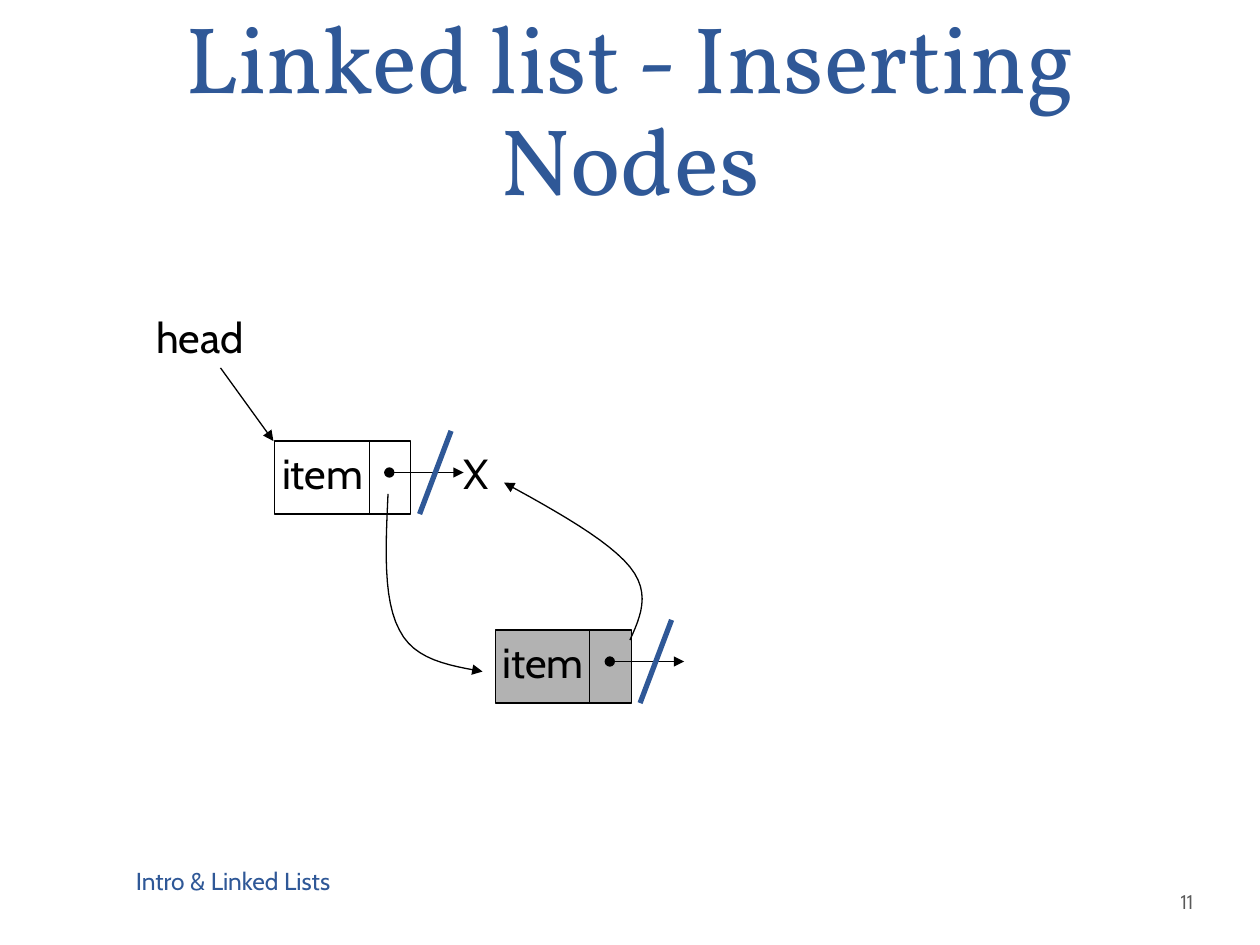
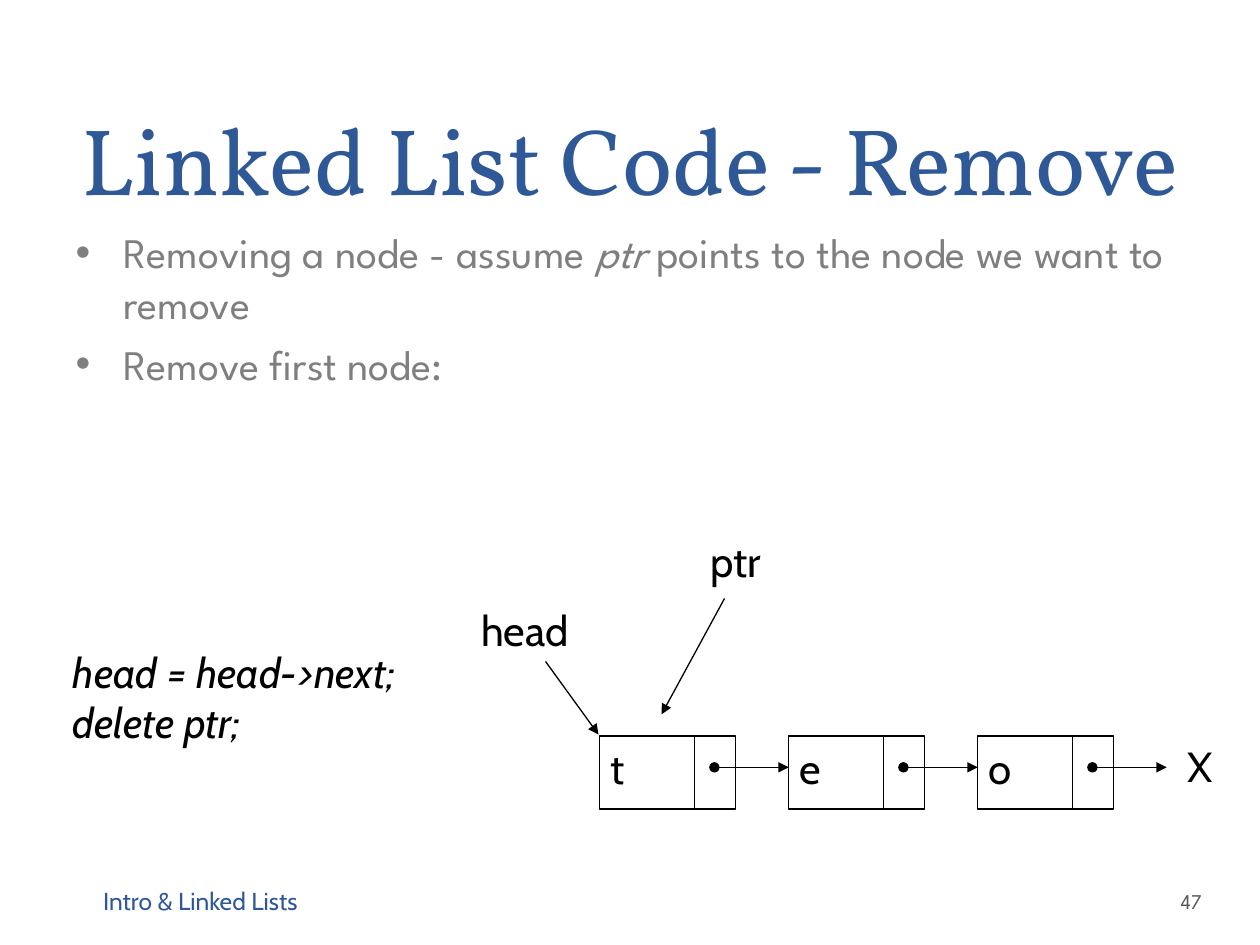
from lxml import etree
from pptx import Presentation
from pptx.dml.color import RGBColor
from pptx.enum import shapes, text
from pptx.oxml import ns
from pptx.util import Inches, Pt

BLUE = RGBColor(0x2F, 0x58, 0x97)
BLACK = RGBColor(0, 0, 0)
BODY_GRAY = RGBColor(0x7F, 0x7F, 0x7F)
NUMBER_GRAY = RGBColor(0x59, 0x59, 0x59)
NEW_NODE_GRAY = RGBColor(0xB2, 0xB2, 0xB2)

TITLE = {"name": "Vollkorn", "size": Pt(54), "color": BLUE}
BODY = {"name": "League Spartan", "size": Pt(24), "color": BODY_GRAY}
FOOTER = {"name": "Cabin", "size": Pt(14), "color": BLUE}
NUMBER = {"name": "League Spartan", "size": Pt(12), "color": NUMBER_GRAY}
LABEL = {"name": "Cabin", "size": Pt(24), "color": BLACK}
CODE = {**LABEL, "italic": True}

NODE_WIDTH, NODE_HEIGHT, NODE_PITCH = 1.08, 0.58, 1.5
CURVE_STEPS = 12


def apply_font(font, style):
    for key, value in style.items():
        if key == "color":
            font.color.rgb = value
        else:
            setattr(font, key, value)


def place(shape, box):
    for key, value in zip(("left", "top", "width", "height"), box):
        setattr(shape, key, Inches(value))


def add_label(slide, box, lines, style=LABEL, **frame_format):
    label = slide.shapes.add_textbox(*map(Inches, box))
    frame = label.text_frame
    for key, value in {"word_wrap": False, **frame_format}.items():
        setattr(frame, key, value)
    for index, line in enumerate(lines):
        paragraph = frame.add_paragraph() if index else frame.paragraphs[0]
        run = paragraph.add_run()
        run.text = line
        apply_font(run.font, style)


def style_line(shape, color=BLACK, width=0.75, **ends):
    shape.line.color.rgb = color
    shape.line.width = Pt(width)
    outline = shape.line._get_or_add_ln()
    for tag in ("headEnd", "tailEnd"):
        if tag in ends:
            etree.SubElement(outline, ns.qn(f"a:{tag}"), type=ends[tag])


def add_line(slide, start, end, **line_format):
    line = slide.shapes.add_connector(
        shapes.MSO_CONNECTOR.STRAIGHT, *map(Inches, (*start, *end)))
    style_line(line, **line_format)
    etree.SubElement(line._element.spPr, ns.qn("a:effectLst"))


def bezier(points, t):
    while len(points) > 1:
        points = [tuple(a + (b - a) * t for a, b in zip(p, q))
                  for p, q in zip(points, points[1:])]
    return points[0]


def add_curved_arrow(slide, points):
    outline = [bezier(points[first:first + 4], step / CURVE_STEPS)
               for first in range(0, len(points) - 1, 3)
               for step in range(1, CURVE_STEPS + 1)]
    builder = slide.shapes.build_freeform(*map(Inches, points[0]))
    builder.add_line_segments(
        [(Inches(x), Inches(y)) for x, y in outline], close=False)
    arrow = builder.convert_to_shape()
    arrow.fill.background()
    arrow.shadow.inherit = False
    style_line(arrow, tailEnd="triangle")


def add_node(slide, x, y, item, text_box, fill=None):
    cell = slide.shapes.add_shape(
        shapes.MSO_SHAPE.RECTANGLE,
        *map(Inches, (x, y, NODE_WIDTH, NODE_HEIGHT)))
    cell.shadow.inherit = False
    if fill is None:
        cell.fill.background()
    else:
        cell.fill.solid()
        cell.fill.fore_color.rgb = fill
    style_line(cell)
    inset, width = text_box
    add_label(slide, (x + inset, y, width, 0.5), [item])
    add_line(slide, (x + 0.75, y), (x + 0.75, y + NODE_HEIGHT))
    add_line(slide, (x + 0.91, y + 0.25), (x + NODE_PITCH, y + 0.25),
             headEnd="oval", tailEnd="triangle")


def add_link_cut(slide, x, y):
    add_line(slide, (x + 1.4, y - 0.08), (x + 1.15, y + 0.58),
             color=BLUE, width=3)


def add_head_pointer(slide, x, y):
    add_label(slide, (x, y, 0.98, 0.5), ["head"])
    add_line(slide, (x + 0.61, y + 0.5), (x + 1.03, y + 1.08),
             tailEnd="triangle")


def add_list_end(slide, x, y):
    add_label(slide, (x, y, 0.39, 0.5), ["X"])


def add_frame(prs, layout, title, number, footer_box):
    slide = prs.slides.add_slide(prs.slide_layouts[layout])
    heading = slide.shapes.title
    place(heading, (0.5, 0, 9, 1.75))
    frame = heading.text_frame
    frame.text = title
    frame.auto_size = text.MSO_AUTO_SIZE.NONE
    frame.vertical_anchor = text.MSO_ANCHOR.BOTTOM
    paragraph = frame.paragraphs[0]
    paragraph.alignment = text.PP_ALIGN.CENTER
    paragraph.line_spacing = Pt(58)
    apply_font(paragraph.runs[0].font, TITLE)
    middle = {"word_wrap": True, "vertical_anchor": text.MSO_ANCHOR.MIDDLE}
    add_label(slide, footer_box, ["Intro & Linked Lists"], FOOTER, **middle)
    add_label(slide, (9.34, 6.95, 0.61, 0.4), [number], NUMBER, **middle,
              margin_left=Inches(0.03), margin_right=Inches(0.05))
    return slide


def fill_body(body, box, bullets):
    place(body, box)
    frame = body.text_frame
    frame.auto_size = text.MSO_AUTO_SIZE.NONE
    for index, parts in enumerate(bullets):
        paragraph = frame.add_paragraph() if index else frame.paragraphs[0]
        paragraph.space_before = Pt(6 if index else 0)
        properties = paragraph._p.get_or_add_pPr()
        properties.set("marL", str(Inches(0.38)))
        properties.set("indent", str(-Inches(0.38)))
        color = etree.SubElement(properties, ns.qn("a:buClr"))
        etree.SubElement(color, ns.qn("a:srgbClr"), val=str(BODY_GRAY))
        etree.SubElement(properties, ns.qn("a:buChar"), char="•")
        for words, italic in parts:
            run = paragraph.add_run()
            run.text = words
            apply_font(run.font, {**BODY, "italic": italic})


def build_insert_slide(prs):
    slide = add_frame(prs, 5, "Linked list - Inserting Nodes", "11",
                      (0.98, 6.74, 4.33, 0.5))
    first_node, new_node = (2.18, 3.5), (3.93, 5)
    add_head_pointer(slide, 1.14, 2.42)
    add_list_end(slide, 3.58, 3.5)
    for corner, fill in ((first_node, None), (new_node, NEW_NODE_GRAY)):
        add_node(slide, *corner, "item", (-0.04, 0.9), fill)
        add_link_cut(slide, *corner)
    add_curved_arrow(slide, [
        (3.08, 3.92), (3.06, 4.34), (3.04, 4.76), (3.17, 5),
        (3.29, 5.24), (3.56, 5.28), (3.83, 5.33)])
    add_curved_arrow(slide, [
        (5, 5.08), (5.08, 4.9), (5.17, 4.71), (5, 4.5),
        (4.83, 4.29), (4.42, 4.06), (4, 3.83)])


def build_remove_slide(prs):
    slide = add_frame(prs, 1, "Linked List Code - Remove", "47",
                      (0.72, 6.95, 3.11, 0.4))
    fill_body(slide.placeholders[1], (0.5, 1.75, 9, 4.95), [
        [("Removing a node - assume ", False), ("ptr", True),
         (" points to the node we want to remove", False)],
        [("Remove first node:", False)]])
    add_head_pointer(slide, 3.72, 4.75)
    for index, (item, width) in enumerate(
            (("t", 0.32), ("e", 0.39), ("o", 0.4))):
        add_node(slide, 4.76 + index * NODE_PITCH, 5.84, item, (-0.01, width))
    add_list_end(slide, 9.33, 5.83)
    add_label(slide, (5.54, 4.2, 0.66, 0.5), ["ptr"])
    add_line(slide, (5.75, 4.75), (5.25, 5.67), tailEnd="triangle")
    add_label(slide, (0.48, 5.08, 3.06, 0.9),
              ["head = head->next;", "delete ptr;"], CODE)


def main():
    prs = Presentation()
    prs.slide_width = Inches(10)
    prs.slide_height = Inches(7.5)
    build_insert_slide(prs)
    build_remove_slide(prs)
    prs.save("out.pptx")


if __name__ == "__main__":
    main()
